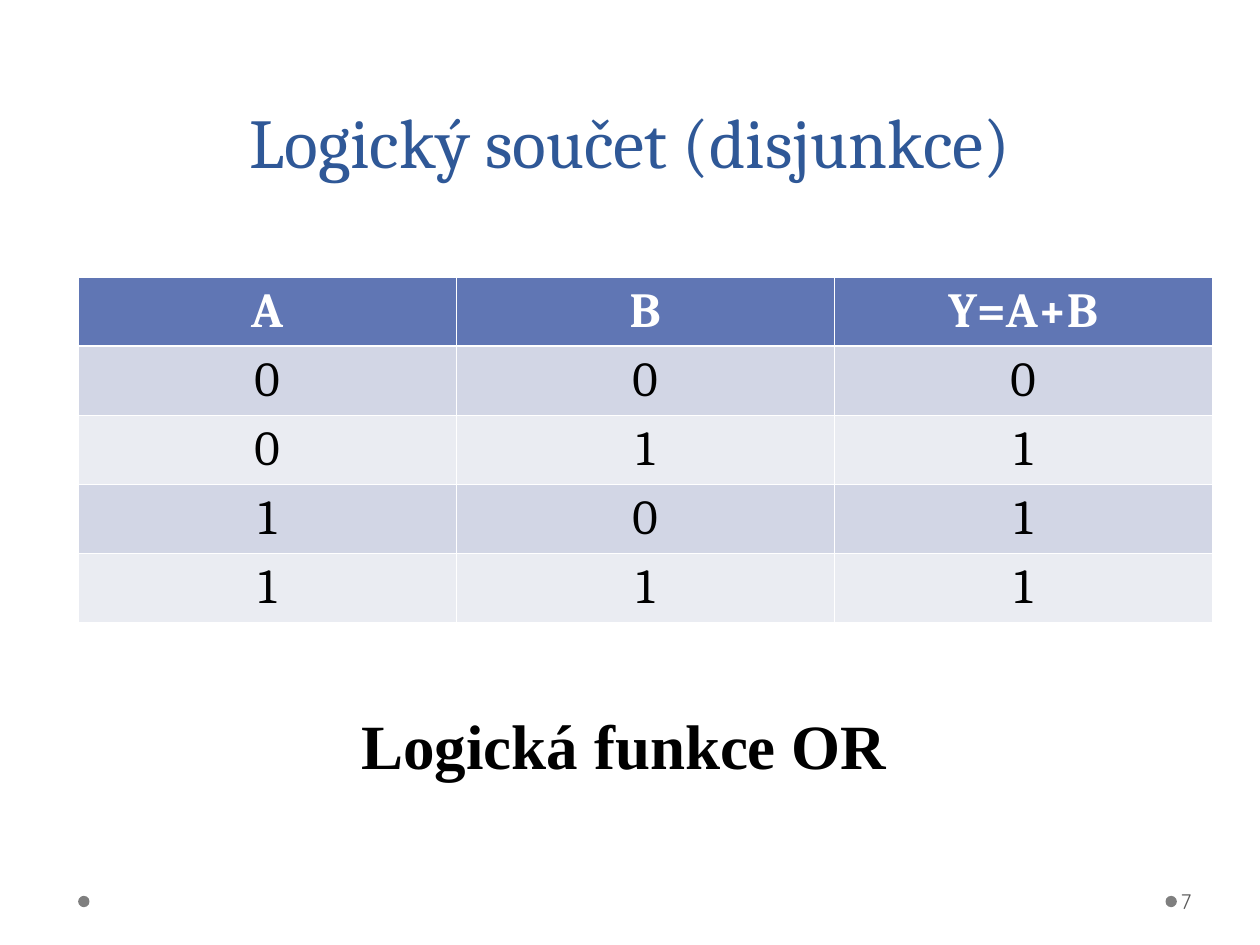
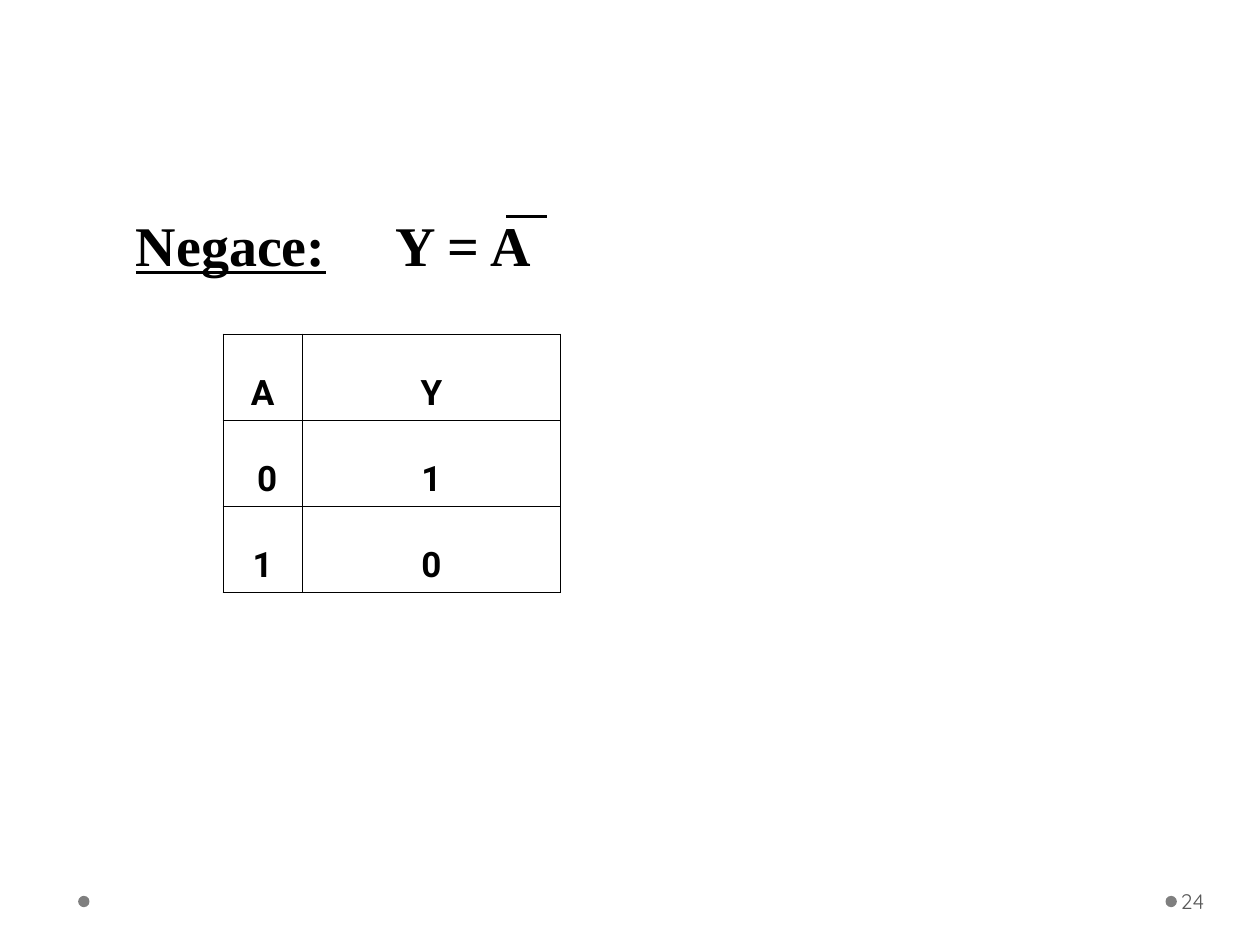
from lxml.etree import SubElement
from pptx import Presentation
from pptx.dml.color import RGBColor
from pptx.enum.shapes import MSO_CONNECTOR, MSO_SHAPE
from pptx.enum.text import MSO_ANCHOR, MSO_AUTO_SIZE, PP_ALIGN
from pptx.oxml.ns import qn
from pptx.util import Inches, Pt

BLACK, WHITE = "000000", "FFFFFF"
BLUE, HEAD = "2F5897", "6076B4"
BANDS = ("D2D6E5", "EAECF2")
DOT, GREY = "7F7F7F", "595959"
SERIF, ROMAN, SANS, ROUND = "Cambria", "Times New Roman", "Roboto", "Quicksand"


def color(code):
    return RGBColor.from_string(code)


def box(*sides):
    return [Inches(side) for side in sides]


def write(para, text, size=12, font=SERIF, fill=BLACK, bold=False,
          under=False, align=None):
    """Add one formatted run to a paragraph."""
    run = para.add_run()
    run.text = text
    run.font.size = Pt(size)
    run.font.name = font
    run.font.bold = bold
    run.font.underline = under
    run.font.color.rgb = color(fill)
    if align is not None:
        para.alignment = align


def margins(item, side, top=0.05):
    item.margin_left = item.margin_right = Inches(side)
    item.margin_top = item.margin_bottom = Inches(top)


def label(slide, place, anchor=MSO_ANCHOR.TOP):
    """Add a text box and return its frame."""
    frame = slide.shapes.add_textbox(*box(*place)).text_frame
    frame.word_wrap = True
    frame.vertical_anchor = anchor
    margins(frame, 0.1)
    return frame


def tab(para, stop):
    tabs = SubElement(para._p.get_or_add_pPr(), qn("a:tabLst"))
    SubElement(tabs, qn("a:tab"), pos=str(Inches(stop)), algn="l")


def title(slide, text):
    shape = slide.shapes.title
    shape.left, shape.top, shape.width, shape.height = box(0.5, 0.35, 9, 1.15)
    frame = shape.text_frame
    frame.auto_size = MSO_AUTO_SIZE.NONE
    frame.vertical_anchor = MSO_ANCHOR.BOTTOM
    para = frame.paragraphs[0]
    para.line_spacing = Pt(58)
    write(para, text, size=40, fill=BLUE, align=PP_ALIGN.CENTER)


def footer(slide, number):
    for left in (0.62, 9.25):
        dot = slide.shapes.add_shape(MSO_SHAPE.OVAL,
                                     *box(left, 7.11, 0.09, 0.09))
        dot.shadow.inherit = False
        dot.fill.solid()
        dot.fill.fore_color.rgb = color(DOT)
        dot.line.fill.background()
    frame = label(slide, (9.34, 6.95, 0.61, 0.4), MSO_ANCHOR.MIDDLE)
    frame.margin_left = Inches(0.03)
    write(frame.paragraphs[0], str(number), font=ROUND, fill=GREY)


def border(cell, code, **widths):
    """Draw the cell's sides; widths overrides sides L, R, T or B."""
    props = cell._tc.get_or_add_tcPr()
    for side in "LRTB":
        line = SubElement(props, qn("a:ln" + side),
                          w=str(Pt(widths.get(side, 0.45))))
        fill = SubElement(line, qn("a:solidFill"))
        SubElement(fill, qn("a:srgbClr"), val=code)


def table(slide, place, cols, rows, style):
    """Add a table; style(row, cell) formats a cell and returns its font."""
    grid = slide.shapes.add_table(len(rows), len(cols), *box(*place)).table
    grid.first_row = grid.horz_banding = False
    for col, width in zip(grid.columns, cols):
        col.width = Inches(width)
    for r, row in enumerate(rows):
        for c, text in enumerate(row):
            cell = grid.cell(r, c)
            look = style(r, cell)
            write(cell.text_frame.paragraphs[0], text,
                  align=PP_ALIGN.CENTER, **look)
    return grid


def banded(row, cell):
    head = row == 0
    thick = {0: {"B": 1.47}, 1: {"T": 1.47}}.get(row, {})
    border(cell, WHITE, **thick)
    cell.fill.solid()
    cell.fill.fore_color.rgb = color(HEAD if head else BANDS[(row - 1) % 2])
    margins(cell, 0.05 if head else 0.02)
    cell.vertical_anchor = MSO_ANCHOR.MIDDLE if head else MSO_ANCHOR.TOP
    return {"size": 28, "bold": head, "fill": WHITE if head else BLACK}


def plain(row, cell):
    border(cell, BLACK)
    cell.fill.background()
    margins(cell, 0.1)
    cell.vertical_anchor = MSO_ANCHOR.BOTTOM
    return {"size": 20, "bold": True, "font": SANS}


def rule(slide, left, right, top):
    line = slide.shapes.add_connector(MSO_CONNECTOR.STRAIGHT,
                                      *box(left, top, right, top))
    line.line.color.rgb = color(BLACK)
    line.line.width = Pt(1.5)
    SubElement(line._element.spPr, qn("a:effectLst"))


def sum_slide(deck):
    slide = deck.slides.add_slide(deck.slide_layouts[5])
    title(slide, "Logický součet (disjunkce)")
    rows = [("A", "B", "Y=A+B")]
    rows += [(str(a), str(b), str(a | b)) for a in (0, 1) for b in (0, 1)]
    table(slide, (0.62, 2.2, 9, 2.54), (3, 3, 3), rows, banded)
    name = label(slide, (2.77, 5.56, 4.91, 0.7))
    write(name.paragraphs[0], "Logická funkce OR", size=36, font=ROMAN,
          bold=True)
    footer(slide, 7)


def not_slide(deck):
    slide = deck.slides.add_slide(deck.slide_layouts[6])
    rows = [("A", "Y"), ("0", "1"), ("1", "0")]
    grid = table(slide, (1.77, 2.65, 2.68, 2.05), (0.63, 2.05), rows, plain)
    grid.cell(1, 0).margin_left = Inches(0.17)
    para = label(slide, (0.98, 1.62, 5.53, 0.64)).paragraphs[0]
    tab(para, 2.06)
    look = {"size": 32, "font": ROMAN, "bold": True}
    write(para, "Negace:", under=True, **look)
    write(para, "\tY = A", **look)
    rule(slide, 4.02, 4.34, 1.72)
    footer(slide, 24)


def main():
    deck = Presentation()
    deck.slide_width, deck.slide_height = box(10, 7.5)
    sum_slide(deck)
    not_slide(deck)
    deck.save("out.pptx")


if __name__ == "__main__":
    main()
